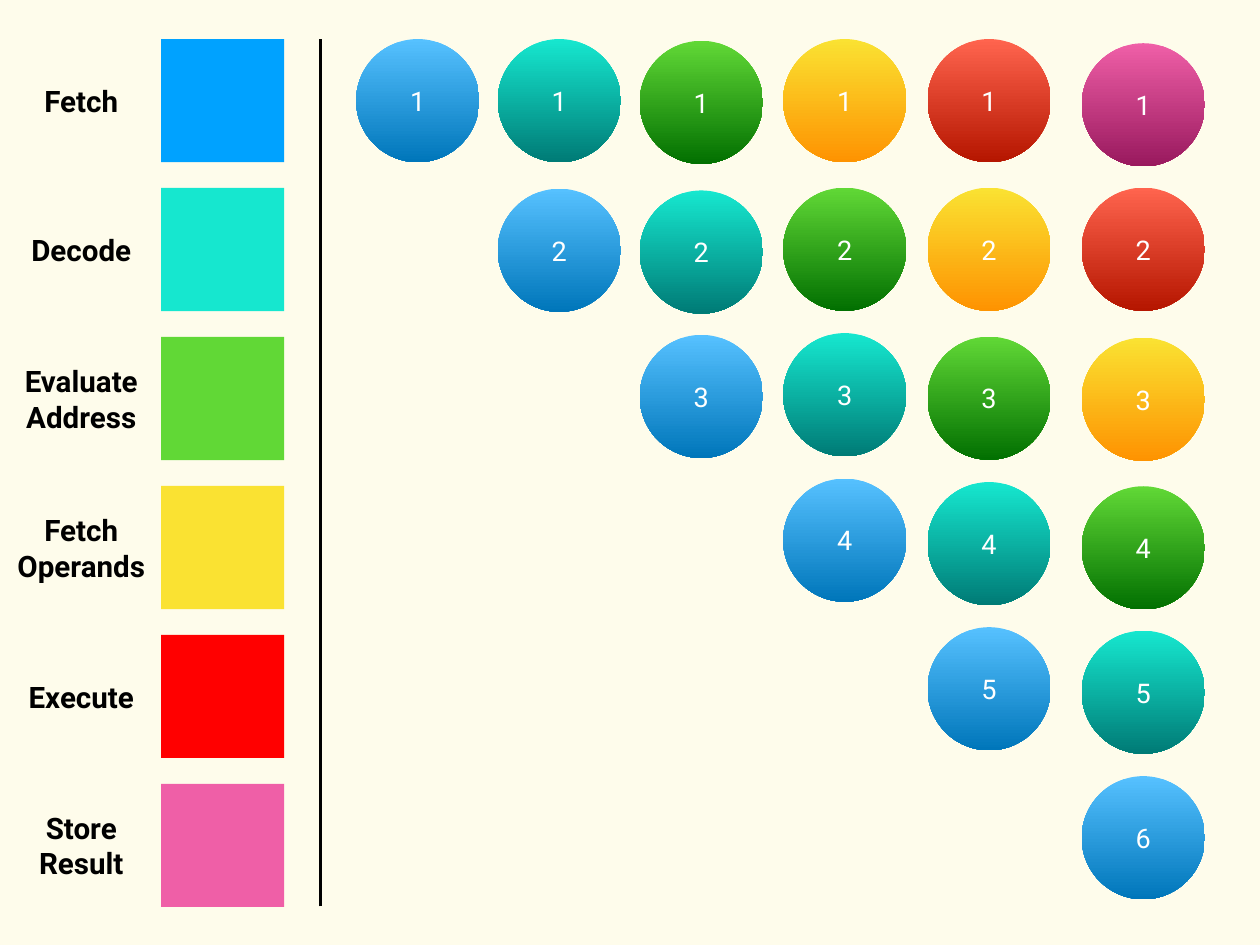
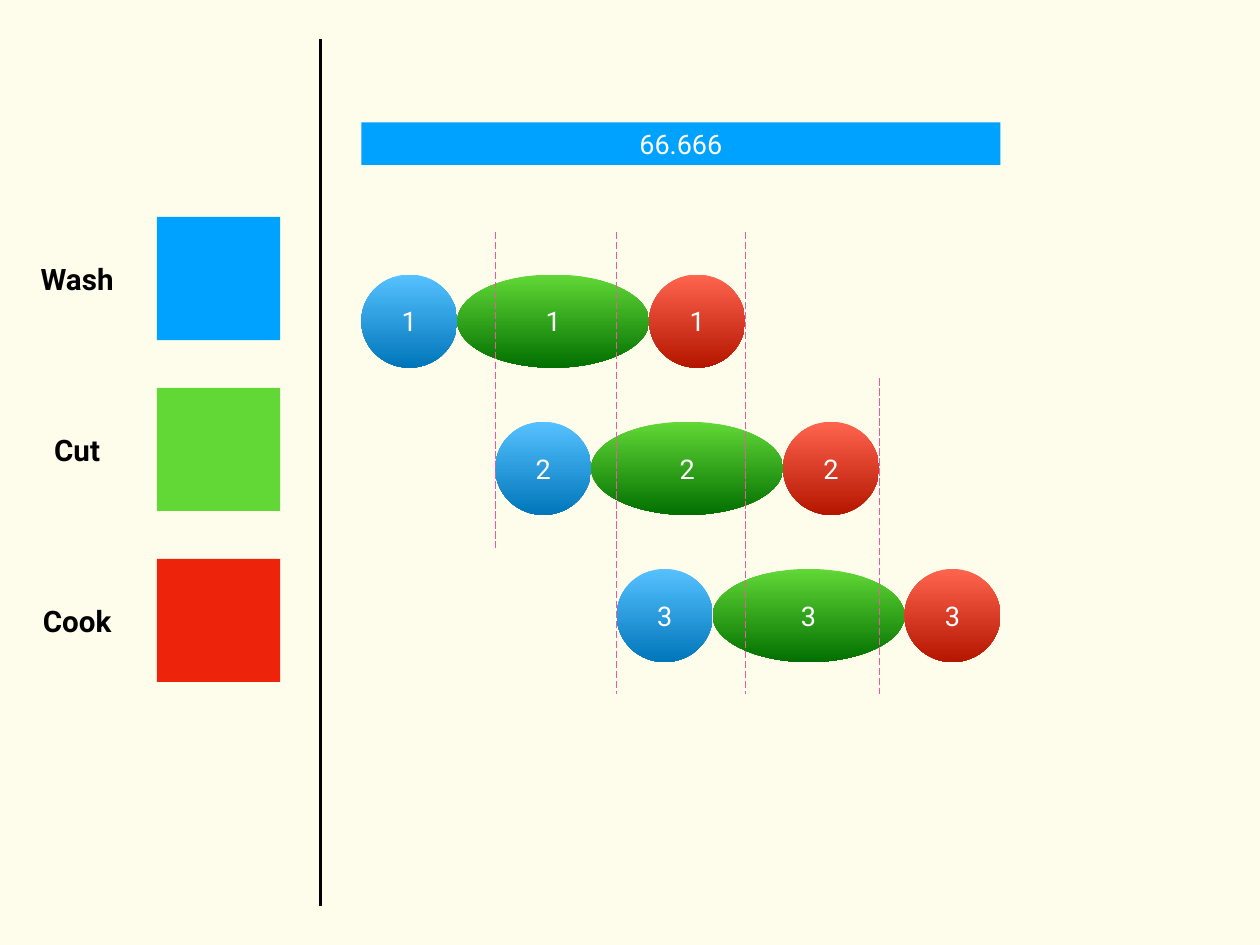
"""Build two pipeline diagrams: instruction stages and kitchen stages."""
from dataclasses import dataclass

from lxml import etree
from pptx import Presentation
from pptx import util as u
from pptx.dml.color import RGBColor
from pptx.enum import dml, shapes, text


@dataclass(frozen=True)
class Theme:
    background: str = "FEFCEB"
    ink: str = "000000"
    white: str = "FFFFFF"
    blue: str = "00A2FF"
    teal: str = "16E7CF"
    green: str = "61D836"
    yellow: str = "FAE232"
    red: str = "FF0000"
    brick: str = "EE230C"
    pink: str = "EF5FA7"
    guide: str = "ED59A3"
    blues: tuple = ("56C1FF", "0076BA")
    teals: tuple = ("16E7CF", "007B76")
    greens: tuple = ("61D836", "027001")
    yellows: tuple = ("FAE232", "FE9301")
    reds: tuple = ("FF644E", "B51600")
    pinks: tuple = ("EF5FA7", "99195E")
    font: str = "Roboto"
    label_size: int = 24
    number_size: int = 22


theme = Theme()
SIDE = 3.53


def write(box, lines, size, color, bold, wrap):
    frame = box.text_frame
    settings = dict(word_wrap=wrap, vertical_anchor=text.MSO_ANCHOR.MIDDLE)
    for side in ("left", "top", "right", "bottom"):
        settings[f"margin_{side}"] = u.Cm(0.15)
    for name, value in settings.items():
        setattr(frame, name, value)
    frame.text = lines
    for para in frame.paragraphs:
        para.alignment = text.PP_ALIGN.CENTER
        span = para.runs[0]
        for name, value in dict(name=theme.font, size=u.Pt(size), bold=bold).items():
            setattr(span.font, name, value)
        span.font.color.rgb = RGBColor.from_string(color)


def add_figure(page, kind, place, paint, number=None):
    shape = page.shapes.add_shape(kind, *map(u.Cm, place))
    shape.shadow.inherit = False
    shape.line.fill.background()
    if isinstance(paint, tuple):
        shape.fill.gradient()
        shape.fill.gradient_angle = 270
        for stop, color in zip(shape.fill.gradient_stops, paint):
            stop.color.rgb = RGBColor.from_string(color)
    else:
        shape.fill.solid()
        shape.fill.fore_color.rgb = RGBColor.from_string(paint)
    if number is not None:
        write(shape, str(number), theme.number_size, theme.white, False, True)


deck = Presentation()
deck.slide_width, deck.slide_height = u.Cm(36.12), u.Cm(27.09)
backdrop = deck.slide_master.background.fill
backdrop.solid()
backdrop.fore_color.rgb = RGBColor.from_string(theme.background)
processor, kitchen = [deck.slides.add_slide(deck.slide_layouts[6]) for _ in range(2)]

processor_stages = [
    ("Fetch", 2.59, theme.blue),
    ("Decode", 3.43, theme.teal),
    ("Evaluate\nAddress", 4.01, theme.green),
    ("Fetch\nOperands", 4.27, theme.yellow),
    ("Execute", 3.58, theme.red),
    ("Store\nResult", 2.9, theme.pink),
]
kitchen_stages = [
    ("Wash", 2.57, theme.blue),
    ("Cut", 1.7, theme.green),
    ("Cook", 2.41, theme.brick),
]
for page, stages, left, first, step in (
    (processor, processor_stages, 4.62, 1.12, 4.27),
    (kitchen, kitchen_stages, 4.5, 6.22, 4.9),
):
    for row, (label, width, color) in enumerate(stages):
        top = first + row * step
        add_figure(page, shapes.MSO_SHAPE.RECTANGLE, (left, top, SIDE, SIDE), color)
        height = 1.28 + 1.03 * label.count("\n")
        place = (left - 2.29 - width / 2, top + (SIDE - height) / 2, width, height)
        box = page.shapes.add_textbox(*map(u.Cm, place))
        write(box, label, theme.label_size, theme.ink, True, False)

instructions = [theme.blues, theme.teals, theme.greens,
                theme.yellows, theme.reds, theme.pinks]
cycles = [
    (10.21, [1.12]),
    (14.27, [1.12, 5.41]),
    (18.34, [1.17, 5.46, 9.6]),
    (22.45, [1.12, 5.38, 9.55, 13.72]),
    (26.59, [1.12, 5.38, 9.65, 13.82, 17.98]),
    (31.01, [1.24, 5.38, 9.68, 13.94, 18.08, 22.25]),
]
for cycle, (left, tops) in enumerate(cycles):
    for stage, top in enumerate(tops):
        add_figure(processor, shapes.MSO_SHAPE.OVAL, (left, top, SIDE, SIDE),
                   instructions[cycle - stage], stage + 1)

starts = [10.36, 14.2, 17.68]
tasks = [(0, 2.75, theme.blues), (2.75, 5.5, theme.greens), (8.25, 2.75, theme.reds)]
duration = 11
for offset, width, paint in tasks:
    for row, start in enumerate(starts):
        place = (start + offset, 7.87 + row * 4.22, width, 2.67)
        add_figure(kitchen, shapes.MSO_SHAPE.OVAL, place, paint, row + 1)
total = starts[-1] + duration - starts[0]
add_figure(kitchen, shapes.MSO_SHAPE.RECTANGLE, (starts[0], 3.51, total, 1.22),
           theme.blue, "66.666")

divider = (9.19, 25.98, 1.12, theme.ink, 2, None)
guides = [
    (x, top, bottom, theme.guide, 0.75, dml.MSO_LINE.LONG_DASH)
    for x, top, bottom in (
        (starts[1], 6.65, 15.7),
        (starts[2], 6.65, 19.89),
        (starts[0] + duration, 6.65, 19.89),
        (starts[1] + duration, 10.85, 19.89),
    )
]
for page, rules in ((processor, [divider]), (kitchen, [divider, *guides])):
    for x, begin, end, color, weight, dash in rules:
        rule = page.shapes.add_connector(
            shapes.MSO_CONNECTOR.STRAIGHT, u.Cm(x), u.Cm(begin), u.Cm(x), u.Cm(end))
        rule.line.color.rgb = RGBColor.from_string(color)
        rule.line.width = u.Pt(weight)
        rule.line.dash_style = dash
        properties = rule._element.spPr
        namespace = etree.QName(properties[0]).namespace
        etree.SubElement(properties, f"{{{namespace}}}effectLst")

deck.save("out.pptx")
